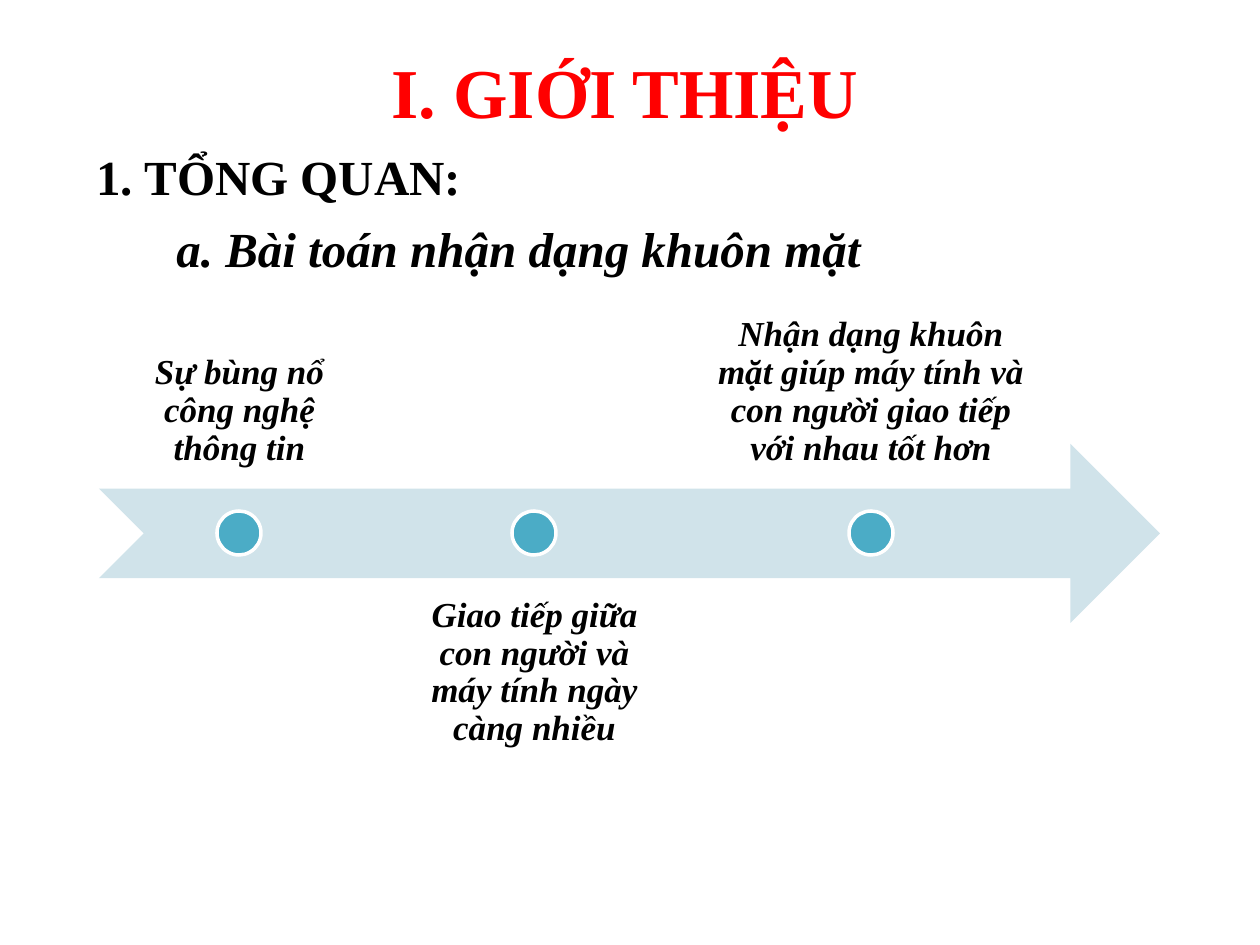
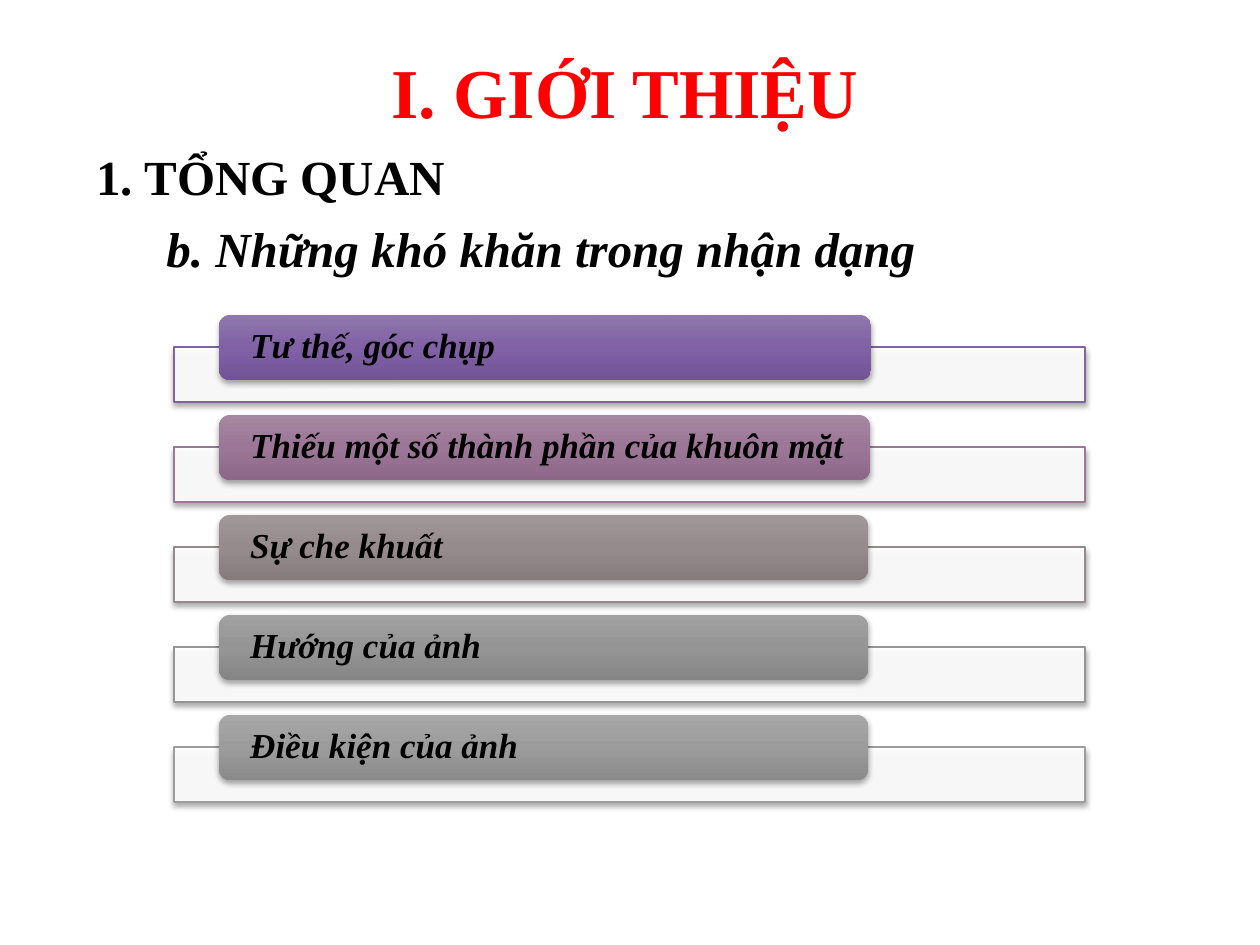
from typing import NamedTuple

from lxml.etree import SubElement as Sub
from pptx import Presentation
from pptx.dml.color import RGBColor
from pptx.enum.shapes import MSO_SHAPE as Kind
from pptx.enum.text import MSO_ANCHOR as Anchor, PP_ALIGN as Align
from pptx.oxml.ns import qn
from pptx.util import Emu, Pt

# Shared style
FONT = "Times New Roman"
BLACK, WHITE, RED = "000000", "FFFFFF", "FF0000"
SKY, TEAL = "D0E3EA", "4BACC6"
SCALE = 914400 / 126


class Box(NamedTuple):
    x: int
    y: int
    w: int
    h: int


class Step(NamedTuple):
    text: str
    width: int
    above: bool


class Row(NamedTuple):
    text: str
    width: int
    line: str
    stops: tuple[str, str, str]


STEPS = [
    Step("Sự bùng nổ công nghệ thông tin", 281, True),
    Step("Giao tiếp giữa con người và máy tính ngày càng nhiều", 281, False),
    Step("Nhận dạng khuôn mặt giúp máy tính và con người giao tiếp với nhau tốt hơn", 364, True),
]
ROWS = [
    Row("Tư thế, góc chụp", 652, "8064A2", ("8E78AC", "8061A5", "715396")),
    Row("Thiếu một số thành phần của khuôn mặt", 651, "9B7896", ("A687A1", "9C7697", "8D6788")),
    Row("Sự che khuất", 649, "948A8C", ("A09799", "958A8C", "857A7C")),
    Row("Hướng của ảnh", 649, "959595", ("A1A1A1", "959595", "858585")),
    Row("Điều kiện của ảnh", 649, "9C9C9C", ("A7A7A7", "9C9C9C", "8A8A8A")),
]


def px(num: int) -> Emu:
    return Emu(round(num * SCALE))


def rgb(code: str) -> RGBColor:
    return RGBColor.from_string(code)


def put_text(shape, text: str, *, size: int = 20, color: str = BLACK, slant: bool = True,
             align=Align.LEFT, anchor=Anchor.TOP, space: float = 1.0, inset=None) -> None:
    """Write one bold paragraph; inset is left, top, right, bottom in px."""
    frame = shape.text_frame
    frame.word_wrap = True
    frame.vertical_anchor = anchor
    if inset:
        (frame.margin_left, frame.margin_top,
         frame.margin_right, frame.margin_bottom) = map(px, inset)
    para = frame.paragraphs[0]
    para.alignment, para.line_spacing = align, space
    run = para.add_run()
    run.text = text
    font = run.font
    font.name, font.size, font.bold, font.italic = FONT, Pt(size), True, slant
    font.color.rgb = rgb(color)


def add_box(slide, box: Box):
    return slide.shapes.add_textbox(*map(px, box))


def add_shape(slide, kind, box: Box, fill: str | None = None,
              line: str | None = None, width: float = 1):
    shape = slide.shapes.add_shape(kind, *map(px, box))
    shape.shadow.inherit = False
    if fill:
        shape.fill.solid()
        shape.fill.fore_color.rgb = rgb(fill)
    if line:
        shape.line.color.rgb = rgb(line)
        shape.line.width = Pt(width)
    else:
        shape.line.fill.background()
    return shape


def add_alpha(color, part: int) -> None:
    Sub(color, qn("a:alpha"), val=str(part * 1000))


def add_shadow(shape) -> None:
    effects = shape.element.spPr.find(qn("a:effectLst"))
    outer = Sub(effects, qn("a:outerShdw"), blurRad=str(Pt(3.1)), dist=str(Pt(1.8)),
                dir="5400000", rotWithShape="0")
    add_alpha(Sub(outer, qn("a:srgbClr"), val=BLACK), 35)


def fade(shape, stops: tuple[str, ...]) -> None:
    """Fill from top to bottom with evenly spaced stops."""
    shape.fill.gradient()
    shape.fill.gradient_angle = 270
    group = shape.element.spPr.find(".//" + qn("a:gsLst"))
    for old in list(group):
        group.remove(old)
    for num, code in enumerate(stops):
        stop = Sub(group, qn("a:gs"), pos=str(num * 100000 // (len(stops) - 1)))
        Sub(stop, qn("a:srgbClr"), val=code)


def new_slide(deck, head: str, topic: str, left: int):
    slide = deck.slides.add_slide(deck.slide_layouts[6])
    put_text(add_box(slide, Box(379, 42, 540, 96)), "I. GIỚI THIỆU",
             size=40, color=RED, slant=False)
    put_text(add_box(slide, Box(84, 140, 680, 71)), head, size=28, slant=False)
    put_text(add_box(slide, Box(left, 212, 951, 71)), topic, size=28)
    return slide


def draw_steps(slide) -> None:
    left, top, high, gap, dot = 99, 444, 179, 14, 44
    mid = top + high // 2
    add_shape(slide, Kind.NOTCHED_RIGHT_ARROW, Box(left, top, 1061, high), SKY)
    for step in STEPS:
        y = mid - 45 - high if step.above else mid + 44
        label = add_box(slide, Box(left, y, step.width, high))
        put_text(label, step.text, align=Align.CENTER, space=0.9, inset=(20,) * 4,
                 anchor=Anchor.BOTTOM if step.above else Anchor.TOP)
        x = left + (step.width - dot) // 2
        add_shape(slide, Kind.OVAL, Box(x, mid - dot // 2, dot, dot), TEAL, WHITE, 2)
        left += step.width + gap


def draw_rows(slide) -> None:
    for num, row in enumerate(ROWS):
        y = 315 + num * 100
        bar = add_shape(slide, Kind.RECTANGLE, Box(174, y + 32, 911, 55), WHITE, row.line, 0.75)
        add_alpha(bar.element.spPr.find(qn("a:solidFill"))[0], 90)
        add_shadow(bar)
        tab = add_shape(slide, Kind.ROUNDED_RECTANGLE, Box(219, y, row.width, 65))
        tab.adjustments[0] = 0.17
        fade(tab, row.stops)
        add_shadow(tab)
        put_text(tab, row.text, anchor=Anchor.MIDDLE, space=0.9, inset=(28, 4, 16, 4))


def main() -> None:
    deck = Presentation()
    deck.slide_width, deck.slide_height = px(1260), px(945)
    # Timeline of the problem
    draw_steps(new_slide(deck, "1. TỔNG QUAN:", "a. Bài toán nhận dạng khuôn mặt", 164))
    # List of difficulties
    draw_rows(new_slide(deck, "1. TỔNG QUAN", "b. Những khó khăn trong nhận dạng", 154))
    deck.save("out.pptx")


if __name__ == "__main__":
    main()
